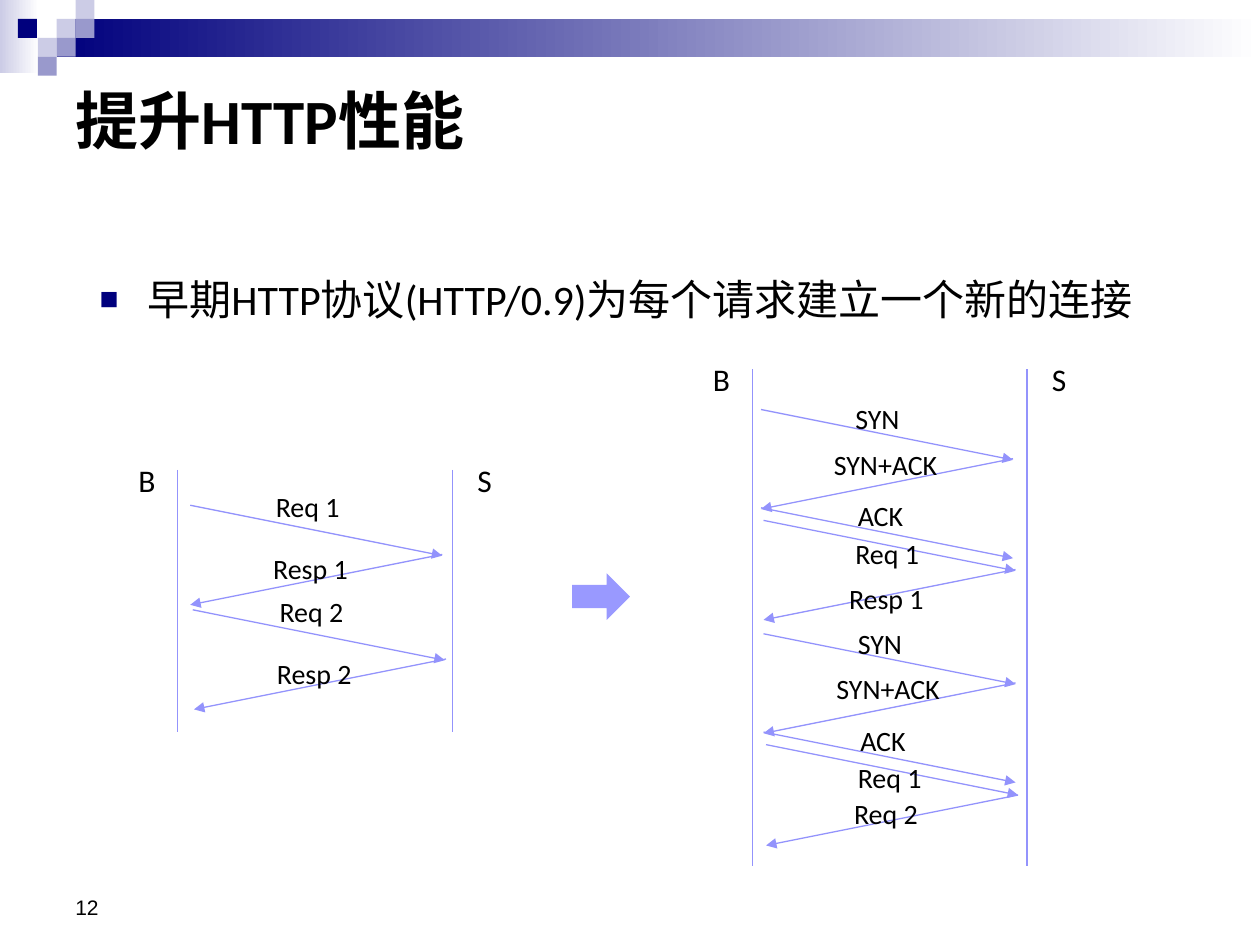
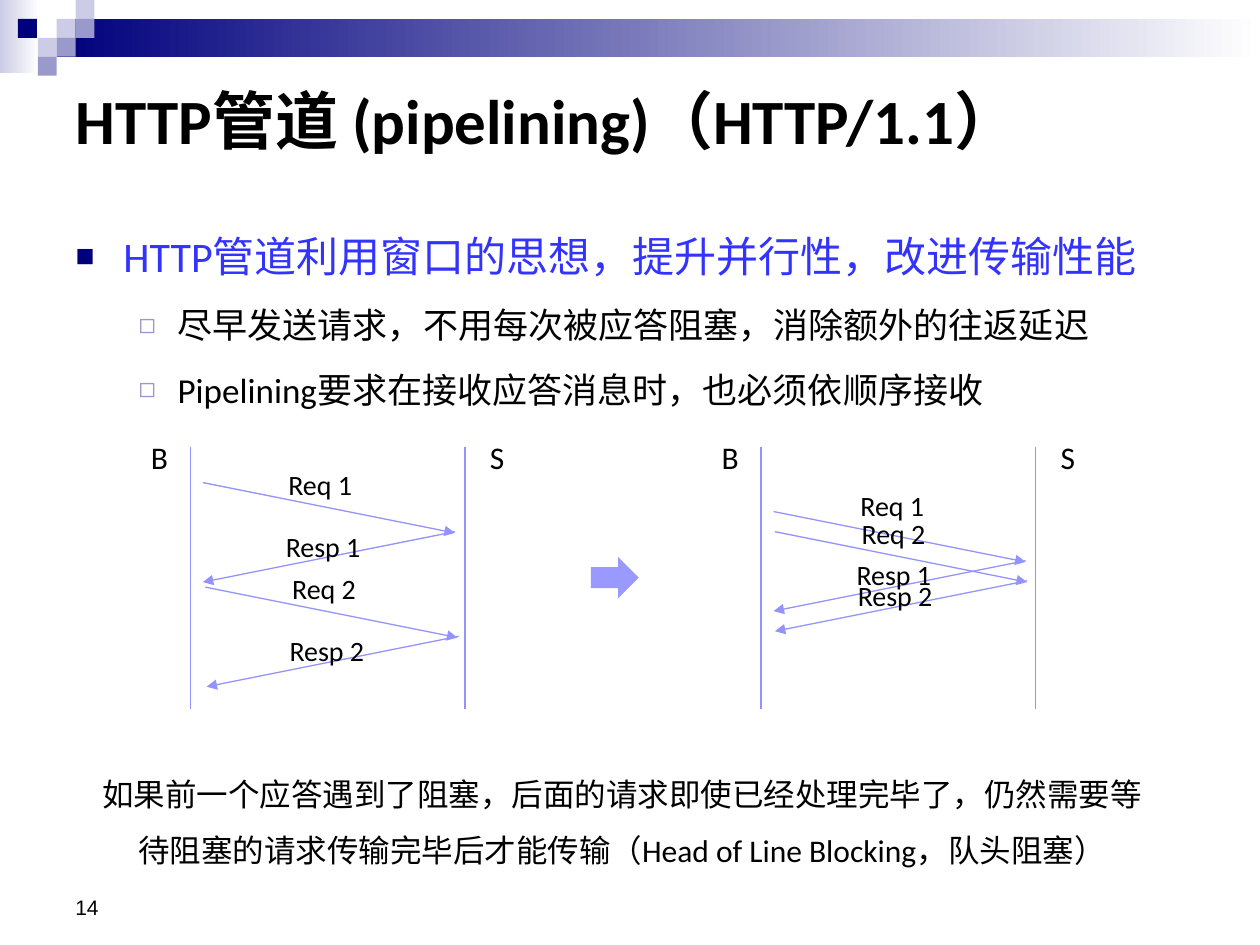
from lxml import etree
from pptx import Presentation
from pptx.dml.color import RGBColor
from pptx.enum.shapes import MSO_CONNECTOR as Connector, MSO_SHAPE as Preset
from pptx.enum.text import MSO_ANCHOR as Anchor, MSO_AUTO_SIZE as AutoSize, PP_ALIGN as Align
from pptx.oxml.ns import qn
from pptx.util import Inches, Pt

COLORS = {
    "navy": "00007D", "lilac": "CCCCE6", "mauve": "9999CC", "white": "FFFFFF",
    "text": "000000", "accent": "3333FF", "line": "9393FC", "arrow": "9999FF",
}
FONT = "Calibri"
CELL = 0.15            # side of one square in the corner mosaic
LIFELINE_GAP = 2.18    # browser line to server line
REACH, DROP = 2.0, 0.4  # width and fall of a message arrow
LABEL_WIDTHS = {"B": 0.34, "S": 0.32, "SYN": 0.56, "ACK": 0.57, "SYN+ACK": 1.03,
                "Req 1": 0.72, "Req 2": 0.72, "Resp 1": 0.8, "Resp 2": 0.8}

# Bullet by list level: character, colour, size %, text indent, hanging, text size
BULLETS = [("■", "navy", 75, 0.38, 0.38, 24),
           ("◻", "mauve", 80, 0.81, 0.31, 20)]

# Messages: label, to server, arrow x and y, label offset from the arrow's top left
TWO_ROUND_TRIPS = [
    ("Req 1", True, 0.1, 0.28, 0.58, -0.17),
    ("Resp 1", False, 0.1, 0.67, 0.56, -0.07),
    ("Req 2", True, 0.12, 1.11, 0.59, -0.17),
    ("Resp 2", False, 0.13, 1.5, 0.56, -0.07),
]
PIPELINED = [
    ("Req 1", True, 0.1, 0.51, 0.59, -0.23),
    ("Resp 1", False, 0.1, 0.9, 0.56, -0.07),
    ("Req 2", True, 0.11, 0.67, 0.59, -0.17),
    ("Resp 2", False, 0.11, 1.06, 0.56, -0.07),
]
HANDSHAKE_AND_REQUEST = [
    ("SYN", True, 0.07, 0.32, 0.65, -0.11),
    ("SYN+ACK", False, 0.07, 0.71, 0.48, -0.14),
    ("ACK", True, 0.07, 1.1, 0.67, -0.12),
    ("Req 1", True, 0.09, 1.2, 0.63, 0.08),
]


def color(name):
    return RGBColor.from_string(COLORS[name])


def inches(*lengths):
    return [Inches(length) for length in lengths]


def add_span(para, text, size, tint="text", font=FONT, bold=False):
    span = para.add_run()
    span.text = text
    span.font.size, span.font.name, span.font.bold = Pt(size), font, bold
    span.font.color.rgb = color(tint)


def add_box(page, at, text, size, font=FONT, wrap=True, anchor=Anchor.TOP):
    box = page.shapes.add_textbox(*inches(*at))
    frame = box.text_frame
    frame.word_wrap, frame.vertical_anchor = wrap, anchor
    add_span(frame.paragraphs[0], text, size, font=font)
    return box


def add_label(page, left, top, text, size, height):
    box = add_box(page, (left, top, LABEL_WIDTHS[text], height), text, size, wrap=False)
    box.text_frame.auto_size = AutoSize.SHAPE_TO_FIT_TEXT


def add_block(page, preset, at, tint, fade_to=None):
    block = page.shapes.add_shape(preset, *inches(*at))
    block.shadow.inherit = False
    block.line.fill.background()
    if fade_to:
        block.fill.gradient()
        block.fill.gradient_angle = 0
        for stop, name in zip(block.fill.gradient_stops, (tint, fade_to)):
            stop.color.rgb = color(name)
    else:
        block.fill.solid()
        block.fill.fore_color.rgb = color(tint)
    return block


def add_line(page, start, end, arrow=False):
    line = page.shapes.add_connector(Connector.STRAIGHT, *inches(*start, *end))
    line.line.color.rgb = color("line")
    line.line.width = Pt(0.75)
    if arrow:
        etree.SubElement(line.line._get_or_add_ln(), qn("a:tailEnd"), type="triangle")
    etree.SubElement(line._element.spPr, qn("a:effectLst"))


def add_exchange(page, left, top, height, messages):
    """Two lifelines, browser and server, with the messages between them."""
    for x in (left, left + LIFELINE_GAP):
        add_line(page, (x, top), (x, top + height))
    add_label(page, left - 0.41, top - 0.12, "B", 18, 0.4)
    add_label(page, left + LIFELINE_GAP + 0.1, top - 0.12, "S", 18, 0.4)
    for text, to_server, x, y, label_x, label_y in messages:
        near, far = left + x, left + x + REACH
        start, end = (near, far) if to_server else (far, near)
        add_line(page, (start, top + y), (end, top + y + DROP), arrow=True)
        add_label(page, near + label_x, top + y + label_y, text, 16, 0.37)


def set_bullet(para, level):
    char, tint, percent, indent, hanging, _ = BULLETS[level]
    props = para._p.get_or_add_pPr()
    props.set("marL", str(Inches(indent)))
    props.set("indent", str(-Inches(hanging)))
    tone = etree.SubElement(props, qn("a:buClr"))
    etree.SubElement(tone, qn("a:srgbClr"), val=COLORS[tint])
    etree.SubElement(props, qn("a:buSzPct"), val=str(percent * 1000))
    etree.SubElement(props, qn("a:buChar"), char=char)


def place(holder, at):
    holder.left, holder.top, holder.width, holder.height = inches(*at)
    holder.text_frame.auto_size = AutoSize.NONE
    return holder.text_frame


def fill_list(page, at, items):
    frame = place(page.placeholders[1], at)
    frame.vertical_anchor = Anchor.TOP
    for index, (level, text, tint) in enumerate(items):
        para = frame.add_paragraph() if index else frame.paragraphs[0]
        para.level, para.alignment = level, Align.LEFT
        para.line_spacing, para.space_before = 1.5, Pt(1)
        set_bullet(para, level)
        add_span(para, text, BULLETS[level][-1], tint)


def add_page(deck, title, number):
    page = deck.slides.add_slide(deck.slide_layouts[1])
    frame = place(page.shapes.title, (0.5, 0.5, 9, 0.89))
    frame.vertical_anchor = Anchor.MIDDLE
    frame.paragraphs[0].alignment = Align.LEFT
    add_span(frame.paragraphs[0], title, 36, bold=True)
    add_box(page, (0.5, 6.83, 2.33, 0.52), number, 12, font="Arial", anchor=Anchor.BOTTOM)
    return page


def add_band(page):
    """Draw the header band and move it to the layout that all pages share."""
    blocks = [add_block(page, Preset.RECTANGLE, (0, 0, 0.31, 0.58), "lilac", "white"),
              add_block(page, Preset.RECTANGLE, (3 * CELL, CELL, 9.55, 2 * CELL), "navy", "white")]
    mosaic = [(3, 1, "lilac"), (4, 0, "lilac"), (4, 1, "mauve"), (2, 2, "lilac"),
              (0.95, 1, "navy"), (3, 2, "mauve"), (2, 3, "mauve")]
    for column, row, tint in mosaic:
        at = (column * CELL, row * CELL, CELL, CELL)
        blocks.append(add_block(page, Preset.RECTANGLE, at, tint))
    for block in blocks:
        page.slide_layout.shapes.element.append(block.element)


def build_connections_page(deck):
    page = add_page(deck, "提升HTTP性能", "12")
    add_band(page)
    fill_list(page, (0.69, 1.92, 8.62, 0.69),
              [(0, "早期HTTP协议(HTTP/0.9)为每个请求建立一个新的连接", "text")])
    add_exchange(page, 1.41, 3.73, 2.08, TWO_ROUND_TRIPS)
    # The second connection repeats the first one lower down
    second = [(text, to_server, x + 0.02, y + 1.78, label_x, label_y)
              for text, to_server, x, y, label_x, label_y in HANDSHAKE_AND_REQUEST]
    messages = [*HANDSHAKE_AND_REQUEST, ("Resp 1", False, 0.09, 1.59, 0.58, 0.05),
                *second, ("Req 2", False, 0.11, 3.38, 0.6, -0.04)]
    add_exchange(page, 5.97, 2.93, 3.94, messages)
    add_block(page, Preset.RIGHT_ARROW, (4.54, 4.55, 0.46, 0.37), "arrow")


def build_pipelining_page(deck):
    page = add_page(deck, "HTTP管道 (pipelining)（HTTP/1.1）", "14")
    fill_list(page, (0.5, 1.58, 9, 5.51), [
        (0, "HTTP管道利用窗口的思想，提升并行性，改进传输性能", "accent"),
        (1, "尽早发送请求，不用每次被应答阻塞，消除额外的往返延迟", "text"),
        (1, "Pipelining要求在接收应答消息时，也必须依顺序接收", "text"),
    ])
    add_exchange(page, 1.51, 3.55, 2.08, TWO_ROUND_TRIPS)
    add_exchange(page, 6.04, 3.55, 2.08, PIPELINED)
    add_block(page, Preset.RIGHT_ARROW, (4.69, 4.42, 0.38, 0.33), "arrow")
    # Conclusion
    note = add_box(page, (0.66, 5.95, 8.55, 1.14),
                   "如果前一个应答遇到了阻塞，后面的请求即使已经处理完毕了，仍然需要等待阻塞的请求"
                   "传输完毕后才能传输（Head of Line Blocking，队头阻塞）", 18)
    para = note.text_frame.paragraphs[0]
    para.alignment, para.line_spacing = Align.CENTER, 1.5


def main():
    deck = Presentation()
    deck.slide_width, deck.slide_height = inches(10, 7.5)
    build_connections_page(deck)
    build_pipelining_page(deck)
    deck.save("out.pptx")


if __name__ == "__main__":
    main()
